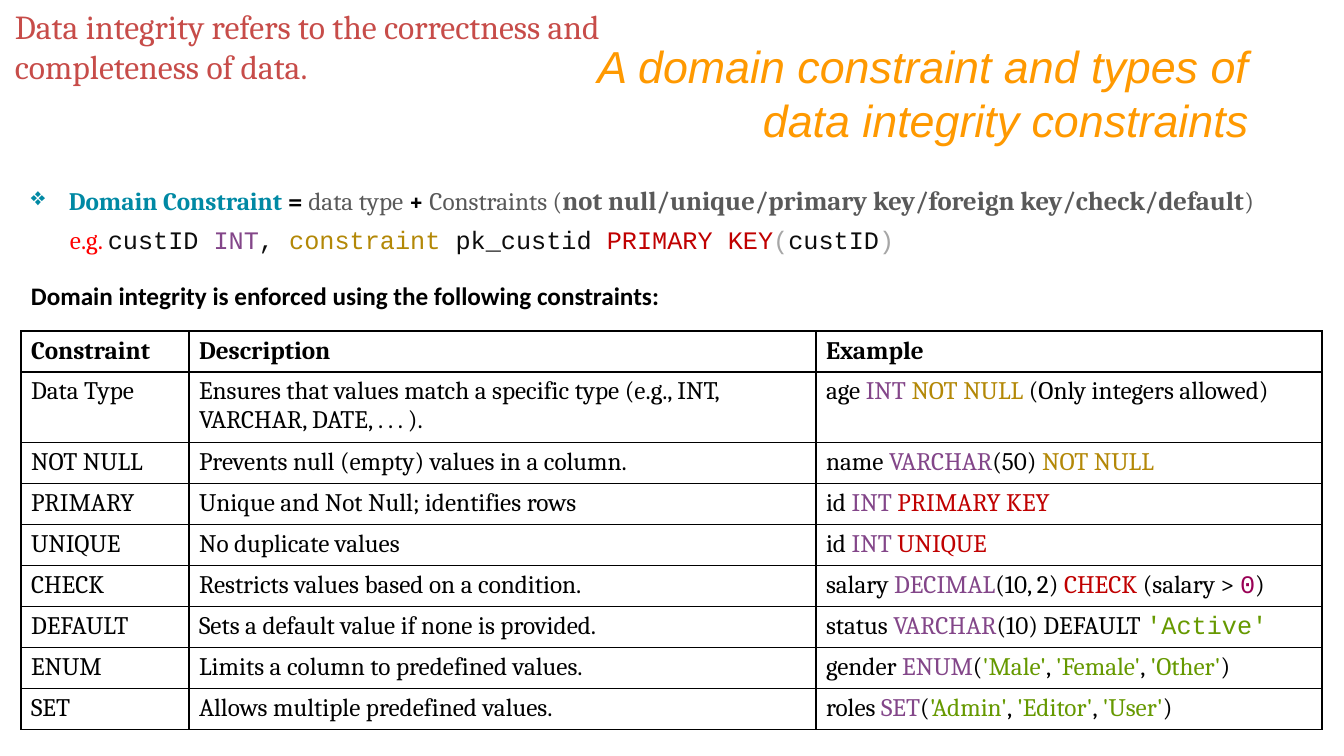
from dataclasses import dataclass

from lxml.etree import SubElement
from pptx import Presentation
from pptx.dml.color import RGBColor
from pptx.enum.text import MSO_ANCHOR, MSO_AUTO_SIZE, PP_ALIGN
from pptx.oxml.ns import qn
from pptx.util import Emu, Pt

BLACK = RGBColor(0x00, 0x00, 0x00)
INK = RGBColor(0x0D, 0x0D, 0x0D)
GREY = RGBColor(0x59, 0x59, 0x59)
SILVER = RGBColor(0xA6, 0xA6, 0xA6)
ORANGE = RGBColor(0xFF, 0x99, 0x00)
BRICK = RGBColor(0xC7, 0x4C, 0x49)
TEAL = RGBColor(0x00, 0x89, 0xA4)
RED = RGBColor(0xFF, 0x00, 0x00)
DARK_RED = RGBColor(0xC0, 0x00, 0x00)
PURPLE = RGBColor(0x83, 0x46, 0x89)
GOLD = RGBColor(0xB3, 0x88, 0x07)
MAGENTA = RGBColor(0x99, 0x00, 0x55)
GREEN = RGBColor(0x66, 0x99, 0x00)

SERIF = "Cambria"
MONO = "Courier New"


def px(n: int) -> Emu:
    return Emu(round(n * 914400 / 100.8))


@dataclass(frozen=True)
class Run:
    text: str
    color: RGBColor = BLACK
    font: str = SERIF
    size: int = 18
    bold: bool = False
    italic: bool = False


@dataclass(frozen=True)
class Para:
    runs: tuple[Run, ...]
    align: PP_ALIGN = PP_ALIGN.LEFT
    margin: int = 0
    indent: int = 0
    bullet: str = ""
    before: int = 0


@dataclass(frozen=True)
class Box:
    left: int
    top: int
    width: int
    height: int
    paras: tuple[Para, ...]


@dataclass(frozen=True)
class Row:
    constraint: str
    description: str
    example: tuple[Run, ...]


def mono(text: str, color: RGBColor = INK) -> Run:
    return Run(text, color, MONO)


def options(name: str, kind: str, values: list[str]) -> tuple[Run, ...]:
    runs = [Run(f"{name} "), Run(kind, PURPLE), Run("(")]
    for i, value in enumerate(values):
        if i:
            runs.append(Run(", "))
        runs.append(Run(f"'{value}'", GREEN))
    return (*runs, Run(")"))


BOXES = (
    Box(491, 34, 768, 119, (
        Para((Run("A domain constraint and types of data integrity constraints",
                  ORANGE, "Arial", 32, italic=True),), PP_ALIGN.RIGHT),
    )),
    Box(21, 179, 1266, 82, (
        Para((
            Run("Domain Constraint ", TEAL, bold=True),
            Run("= ", bold=True),
            Run("data type ", GREY),
            Run("+", bold=True),
            Run(" Constraints (", GREY),
            Run("not null/unique/primary key/foreign key/check/default",
                GREY, size=19, bold=True),
            Run(")", GREY),
        ), PP_ALIGN.JUSTIFY, 38, -38, "❖"),
        Para((
            Run("e.g. ", RED),
            mono("custID "),
            mono("INT", PURPLE),
            mono(", "),
            mono("constraint", GOLD),
            mono(" pk_custid "),
            mono("PRIMARY KEY", DARK_RED),
            mono("(", SILVER),
            mono("custID"),
            mono(")", SILVER),
        ), PP_ALIGN.JUSTIFY, 39, before=6),
    )),
    Box(5, 1, 666, 92, (
        Para((Run("Data integrity refers to the correctness and completeness of data.",
                  BRICK, size=24),)),
    )),
    Box(21, 275, 738, 40, (
        Para((Run("Domain integrity is enforced using the following constraints:",
                  font="Calibri", bold=True),)),
    )),
)

HEADER = ("Constraint", "Description", "Example")
ROWS = (
    Row("Data Type",
        "Ensures that values match a specific type (e.g., INT, VARCHAR, DATE, . . . ).",
        (Run("age "), Run("INT ", PURPLE), Run("NOT NULL", GOLD),
         Run(" (Only integers allowed)"))),
    Row("NOT NULL", "Prevents null (empty) values in a column.",
        (Run("name "), Run("VARCHAR", PURPLE), Run("(50) "), Run("NOT NULL", GOLD))),
    Row("PRIMARY", "Unique and Not Null; identifies rows",
        (Run("id "), Run("INT ", PURPLE), Run("PRIMARY KEY", DARK_RED))),
    Row("UNIQUE", "No duplicate values",
        (Run("id "), Run("INT ", PURPLE), Run("UNIQUE", DARK_RED))),
    Row("CHECK", "Restricts values based on a condition.",
        (Run("salary "), Run("DECIMAL", PURPLE), Run("(10, 2) "), Run("CHECK", DARK_RED),
         Run(" (salary > "), mono("0", MAGENTA), Run(")"))),
    Row("DEFAULT", "Sets a default value if none is provided.",
        (Run("status "), Run("VARCHAR", PURPLE), Run("(10) DEFAULT "),
         mono("'Active'", GREEN))),
    Row("ENUM", "Limits a column to predefined values.",
        options("gender", "ENUM", ["Male", "Female", "Other"])),
    Row("SET", "Allows multiple predefined values.",
        options("roles", "SET", ["Admin", "Editor", "User"])),
)
COLUMNS = (168, 627, 506)
ROW_HEIGHT = 41


def write(p, para: Para) -> None:
    pPr = p._p.get_or_add_pPr()
    if para.margin:
        pPr.set("marL", str(px(para.margin)))
        pPr.set("indent", str(px(para.indent)))
    if para.bullet:
        SubElement(pPr, qn("a:buChar")).set("char", para.bullet)
    p.alignment = para.align
    if para.before:
        p.space_before = Pt(para.before)
    for run in para.runs:
        r = p.add_run()
        r.text = run.text
        r.font.name = run.font
        r.font.size = Pt(run.size)
        r.font.bold = run.bold
        r.font.italic = run.italic
        r.font.color.rgb = run.color


def add_box(s, box: Box) -> None:
    sp = s.shapes.add_textbox(px(box.left), px(box.top), px(box.width), px(box.height))
    tf = sp.text_frame
    tf.word_wrap = True
    tf.auto_size = MSO_AUTO_SIZE.SHAPE_TO_FIT_TEXT
    for i, para in enumerate(box.paras):
        write(tf.add_paragraph() if i else tf.paragraphs[0], para)


def add_borders(cell) -> None:
    tcPr = cell._tc.get_or_add_tcPr()
    for side in ("lnL", "lnR", "lnT", "lnB"):
        ln = SubElement(tcPr, qn(f"a:{side}"), w=str(Pt(1)))
        SubElement(SubElement(ln, qn("a:solidFill")), qn("a:srgbClr"), val=str(BLACK))


def add_constraints(s) -> None:
    lines = [tuple((Run(title, bold=True),) for title in HEADER)]
    lines += [((Run(row.constraint),), (Run(row.description),), row.example) for row in ROWS]
    table = s.shapes.add_table(len(lines), len(COLUMNS), px(21), px(331),
                               px(sum(COLUMNS)), px(ROW_HEIGHT * len(lines))).table
    table.first_row = table.horz_banding = False
    for column, width in zip(table.columns, COLUMNS):
        column.width = px(width)
    for i, line in enumerate(lines):
        table.rows[i].height = px(ROW_HEIGHT)
        for j, runs in enumerate(line):
            cell = table.cell(i, j)
            add_borders(cell)
            cell.fill.background()
            cell.vertical_anchor = MSO_ANCHOR.TOP if i else MSO_ANCHOR.MIDDLE
            write(cell.text_frame.paragraphs[0], Para(runs))


def main() -> None:
    prs = Presentation()
    prs.slide_width, prs.slide_height = px(1344), px(756)
    s = prs.slides.add_slide(prs.slide_layouts[6])
    for box in BOXES:
        add_box(s, box)
    add_constraints(s)
    prs.save("out.pptx")


if __name__ == "__main__":
    main()
